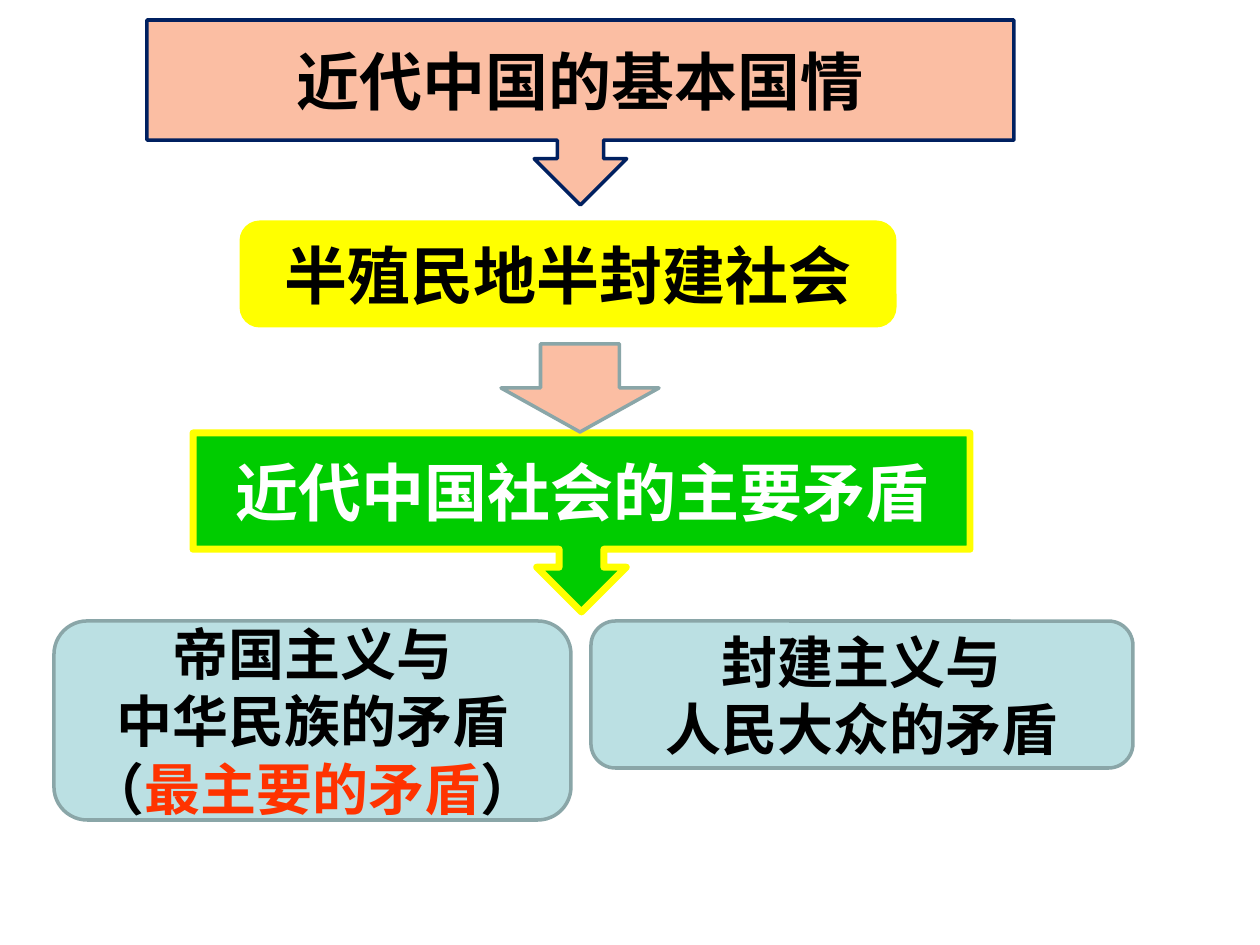
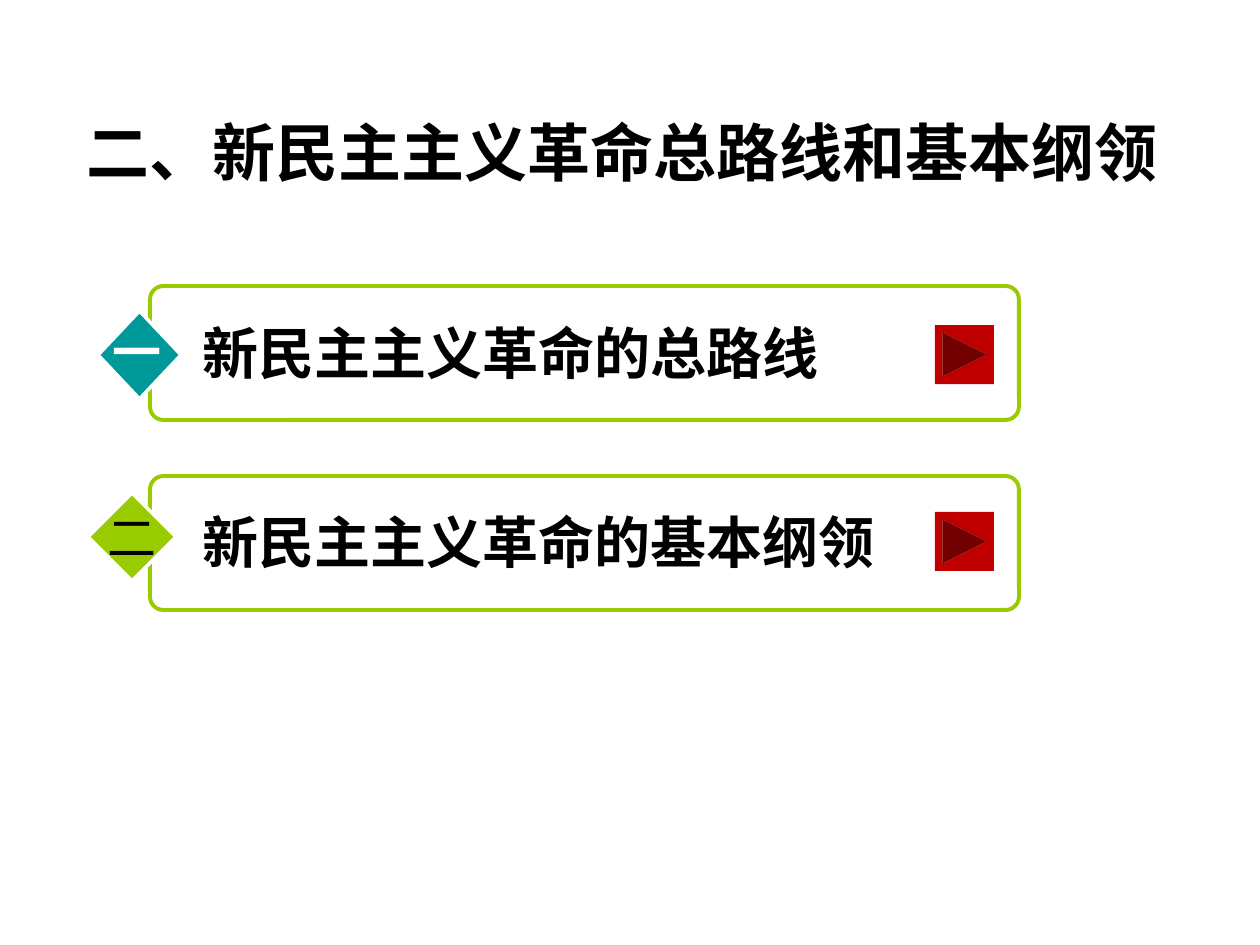
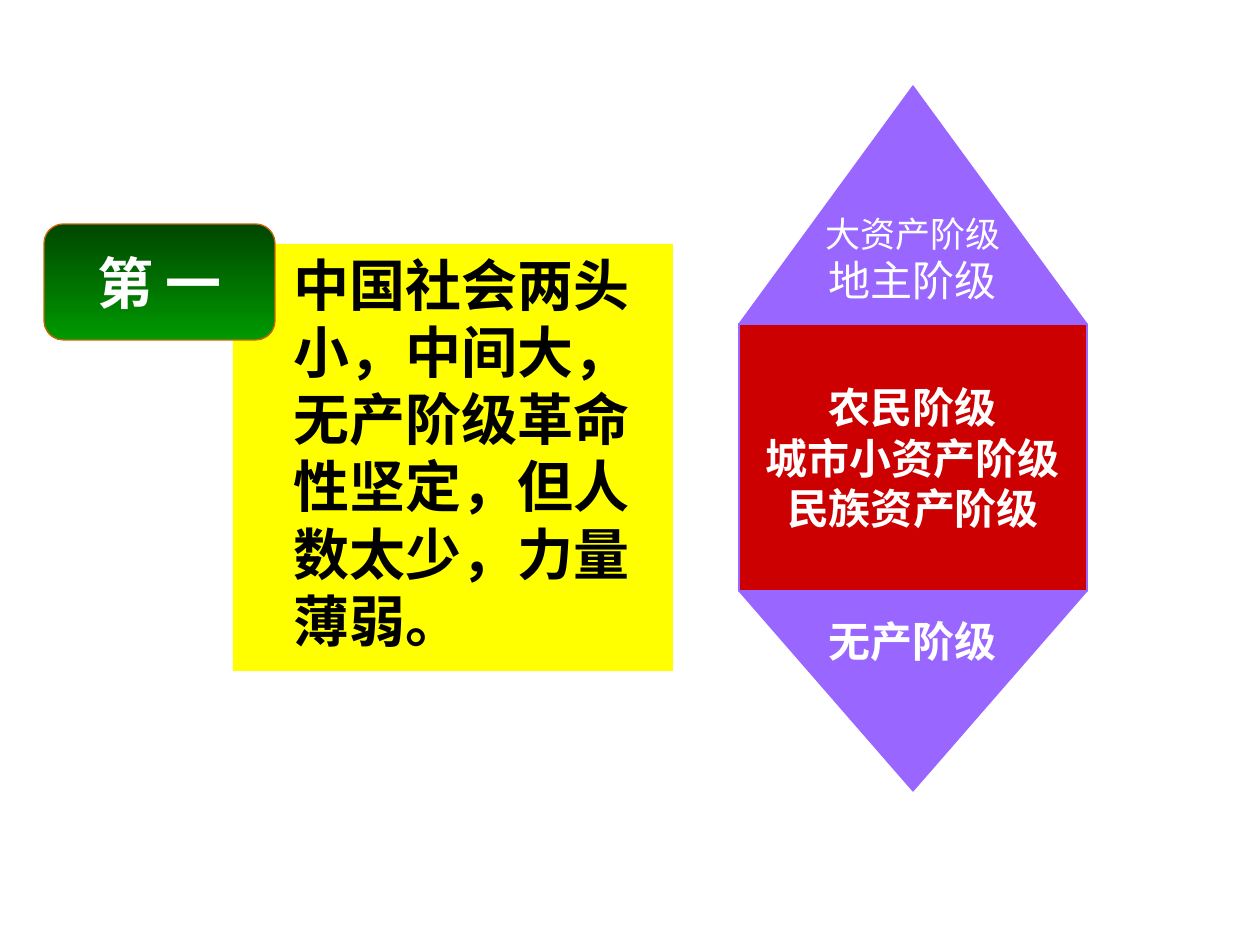
from pptx import Presentation
from pptx.dml.color import RGBColor
from pptx.enum.shapes import MSO_SHAPE
from pptx.enum.text import MSO_ANCHOR, MSO_AUTO_SIZE, PP_ALIGN
from pptx.oxml.ns import qn
from pptx.util import Pt
from lxml.etree import SubElement

SCALE = 914400 / 126  # EMU in one px
SANS, JP, SERIF = "Noto Sans CJK SC", "Noto Sans CJK JP", "Times New Roman"
HUES = {
    "black": "000000", "white": "FFFFFF", "navy": "002060", "peach": "FBBEA3",
    "yellow": "FFFF00", "green": "00CC00", "gray": "8AA6A8", "pale": "BBE0E3",
    "orange": "FF3300", "lime": "99CC00", "teal": "009999", "crimson": "C00000",
    "red": "CC0000", "violet": "9966FF", "forest": "004700", "leaf": "009900",
    "rust": "CC6600",
}


def px(n):
    return round(n * SCALE)


def rgb(hue):
    return RGBColor.from_string(HUES[hue])


def place(item, box):
    item.left, item.top, item.width, item.height = map(px, box)


def style(run, size, hue="black", face=SANS, bold=True):
    font = run.font
    font.size, font.bold, font.name = Pt(size), bold, face
    font.color.rgb = rgb(hue)
    # East Asian glyphs take their own typeface
    east = SubElement(run.font._element, qn("a:ea"))
    east.set("typeface", SANS if face == SERIF else face)


def write(item, text, size, hue="black", face=SANS, bold=True,
          align=PP_ALIGN.CENTER, anchor=MSO_ANCHOR.MIDDLE, wrap=True):
    frame = item.text_frame
    frame.text = text
    frame.word_wrap, frame.vertical_anchor = wrap, anchor
    for para in frame.paragraphs:
        para.alignment = align
        for run in para.runs:
            style(run, size, hue, face, bold)
    return frame


def shape(slide, kind, box, fill, line=None, width=2, round_by=None):
    item = slide.shapes.add_shape(kind, *map(px, box))
    item.shadow.inherit = False
    item.fill.solid()
    item.fill.fore_color.rgb = rgb(fill)
    if line:
        item.line.color.rgb = rgb(line)
        item.line.width = Pt(width)
    else:
        item.line.fill.background()
    if round_by is not None:
        item.adjustments[0] = round_by
    return item


def label(slide, box, text, size, **look):
    item = slide.shapes.add_textbox(*map(px, box))
    write(item, text, size, anchor=MSO_ANCHOR.TOP, **look)


def shade(item, top, base):
    item.fill.gradient()
    item.fill.gradient_angle = 270
    for stop, hue, pos in zip(item.fill.gradient_stops, (top, base), (0, 1)):
        stop.color.rgb, stop.position = rgb(hue), pos


def bullet(para, indent):
    props = para._p.get_or_add_pPr()
    props.set("marL", str(px(indent)))
    props.set("indent", str(-px(indent)))
    SubElement(props, qn("a:buChar")).set("char", "•")


def nation(slide):
    call, pill = MSO_SHAPE.DOWN_ARROW_CALLOUT, MSO_SHAPE.ROUNDED_RECTANGLE
    # Chain from conditions to contradictions
    head = shape(slide, call, (147, 20, 867, 185), "peach", "navy")
    write(head, "近代中国的基本国情", 36, face=JP)
    state = shape(slide, pill, (243, 224, 650, 100), "yellow", "yellow", 4)
    write(state, "半殖民地半封建社会", 36)
    main_box = shape(slide, call, (193, 433, 777, 179), "green", "yellow", 4)
    write(main_box, "近代中国社会的主要矛盾", 36, "white", JP)
    shape(slide, MSO_SHAPE.DOWN_ARROW, (501, 344, 158, 88), "peach", "gray")

    # The two contradictions
    left = shape(slide, pill, (54, 621, 517, 199), "pale", "gray")
    frame = write(left, "帝国主义与\n中华民族的矛盾（", 32, face=JP)
    for text, hue in (("最主要的矛盾", "orange"), ("）", "black")):
        run = frame.paragraphs[1].add_run()
        run.text = text
        style(run, 32, hue, JP)
    right = shape(slide, pill, (591, 621, 542, 147), "pale", "gray")
    write(right, "封建主义与\n人民大众的矛盾", 32, face=JP)


def agenda(slide):
    title = slide.shapes.title
    place(title, (74, 55, 1113, 193))
    frame = write(title, "二、新民主主义革命总路线和基本纲领", 36, face=JP,
                  align=PP_ALIGN.LEFT)
    frame.auto_size = MSO_AUTO_SIZE.NONE

    # Rows: frame, diamond, heading, button
    rows = (
        (286, "teal", (98, 311, 83, 88), 312, "新民主主义革命的总路线", 325),
        (476, "lime", (88, 493, 88, 88), 501, "新民主主义革命的基本纲领", 512),
    )
    gems = []
    for top, hue, gem, text_top, text, key_top in rows:
        shape(slide, MSO_SHAPE.ROUNDED_RECTANGLE, (150, top, 869, 134),
              "white", "lime", 2.25, 0.1)
        gems.append(shape(slide, MSO_SHAPE.DIAMOND, gem, hue, "white"))
        label(slide, (190, text_top, 805, 79), text, 32, align=PP_ALIGN.LEFT)
        shape(slide, MSO_SHAPE.ACTION_BUTTON_FORWARD_OR_NEXT,
              (935, key_top, 59, 59), "crimson")

    # Row numbers
    label(slide, (78, 315, 118, 72), "一", 28, hue="white")
    write(gems[1], "二", 28, bold=False, wrap=False)


def classes(slide):
    # Statement with its tag
    note = shape(slide, MSO_SHAPE.RECTANGLE, (233, 244, 440, 427), "yellow")
    frame = write(note, "中国社会两头小，中间大，无产阶级革命性坚定，但人数太少，力量薄弱。",
                  32, align=PP_ALIGN.LEFT, anchor=MSO_ANCHOR.TOP)
    bullet(frame.paragraphs[0], 48)
    tag = shape(slide, MSO_SHAPE.FLOWCHART_ALTERNATE_PROCESS,
                (44, 224, 231, 116), "leaf", "rust", 0.75)
    shade(tag, "forest", "leaf")
    write(tag, "第 一", 32, "white", SERIF, wrap=False)

    # Stack of classes, wide in the middle
    parts = (
        (MSO_SHAPE.FLOWCHART_EXTRACT, 238, "violet", "大资产阶级\n地主阶级", False),
        (MSO_SHAPE.RECTANGLE, 267, "red",
         "农民阶级\n城市小资产阶级\n民族资产阶级", True),
        (MSO_SHAPE.FLOWCHART_MERGE, 200, "violet", "无产阶级", True),
    )
    top, frames = 86, []
    for kind, high, hue, text, bold in parts:
        item = shape(slide, kind, (739, top, 348, high), hue, "violet", 0.75)
        frames.append(write(item, text, 24, "white", SERIF, bold, wrap=False))
        top += high
    peak = frames[0]
    peak.paragraphs[0].runs[0].font.size = Pt(20)
    peak.margin_bottom = px(18)


def main():
    deck = Presentation()
    deck.slide_width, deck.slide_height = px(1260), px(945)
    for layout, build in ((6, nation), (5, agenda), (6, classes)):
        build(deck.slides.add_slide(deck.slide_layouts[layout]))
    deck.save("out.pptx")


if __name__ == "__main__":
    main()
